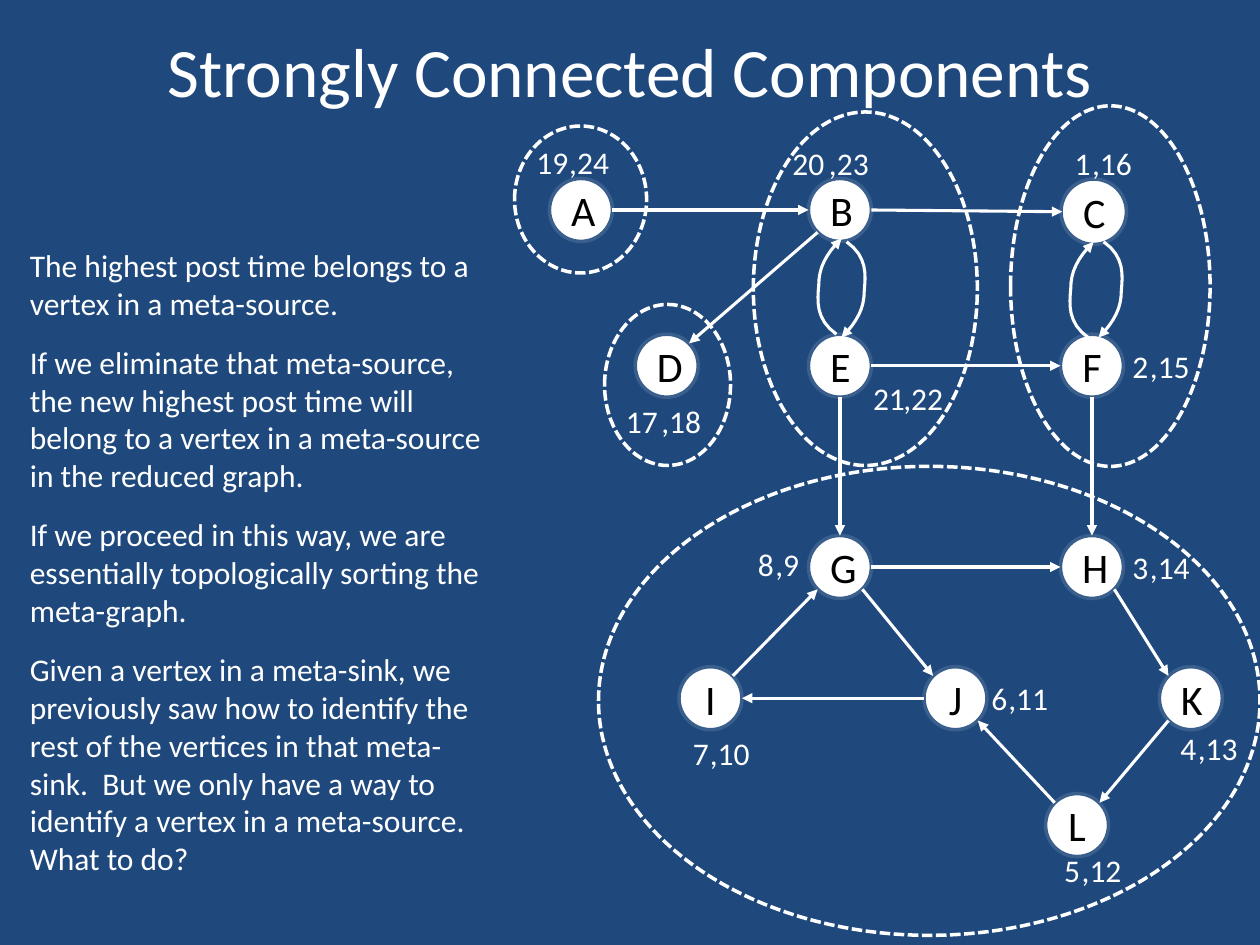
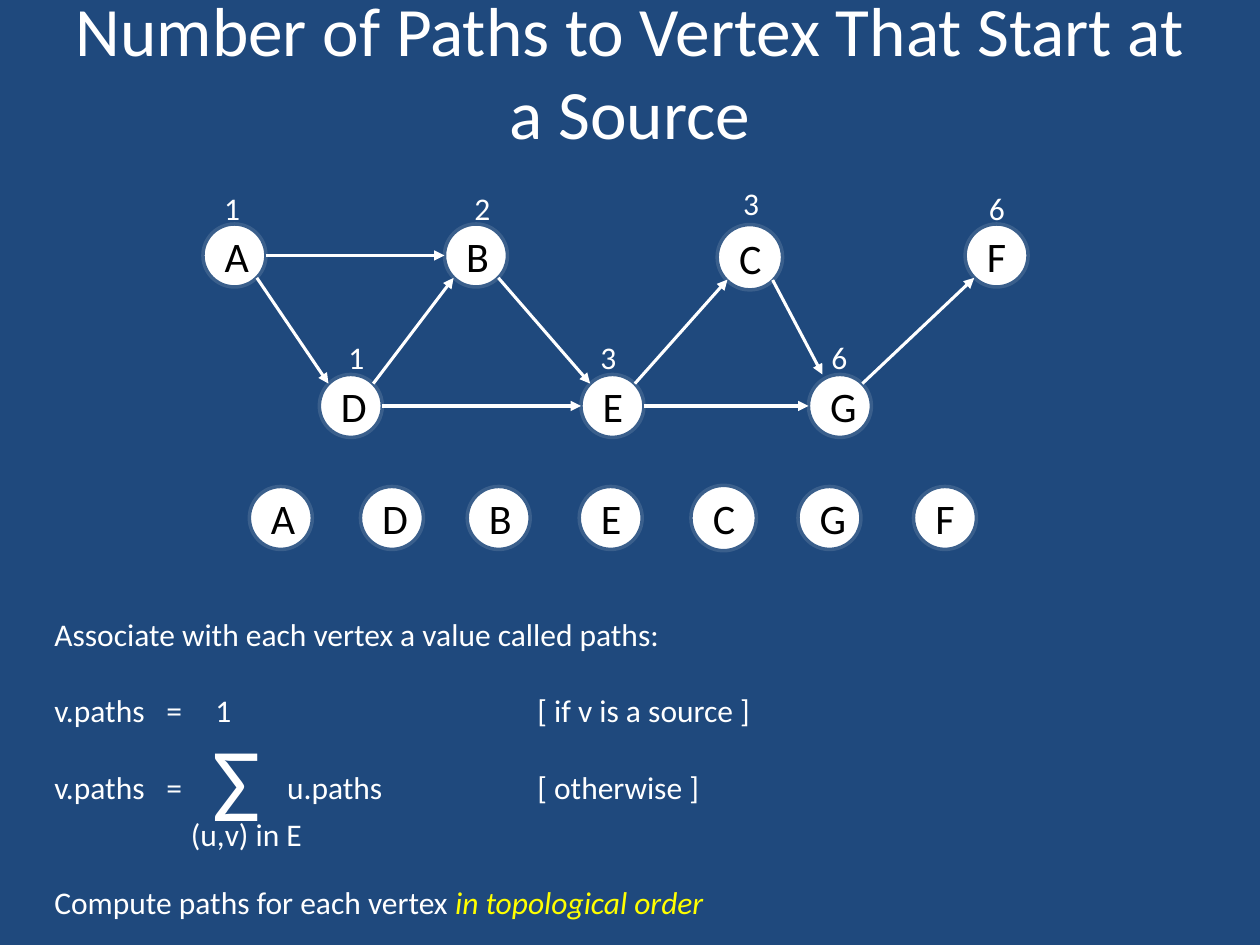
from lxml import etree
from pptx import Presentation
from pptx.dml.color import RGBColor
from pptx.enum import dml, shapes, text
from pptx.oxml.ns import qn
from pptx.util import Pt

NAVY = RGBColor(0x1F, 0x49, 0x7D)
RIM = RGBColor(0x3A, 0x5F, 0x8C)
WHITE = RGBColor(0xFF, 0xFF, 0xFF)
BLACK = RGBColor(0, 0, 0)
YELLOW = RGBColor(0xFF, 0xFF, 0)
FONT = "Calibri"
RADIUS = 18
BEND = [(0, 0), (12.2, 8.6), (10.8, 19.4), (10.1, 28.1),
        (10.1, 37.4), (6.5, 45.4), (-2.9, 54.7)]


def write(para, words, size=18, color=WHITE, italic=None, align=None,
          before=None):
    """Add one formatted run to a paragraph."""
    run = para.add_run()
    run.text = words
    font = run.font
    font.name, font.size, font.italic = FONT, Pt(size), italic
    font.color.rgb = color
    if align is not None:
        para.alignment = align
    if before is not None:
        para.space_before = Pt(before)


def set_tabs(para, stops):
    tabs = etree.SubElement(para._p.get_or_add_pPr(), qn("a:tabLst"))
    for stop in stops:
        etree.SubElement(tabs, qn("a:tab"), pos=str(Pt(stop)), algn="l")


def sign(gap):
    """Direction of a gap, taking a tiny one as level."""
    return 0 if abs(gap) < 3 else (1 if gap > 0 else -1)


def cubic(a, b, c, d, t):
    s = 1 - t
    return s**3 * a + 3 * s * s * t * b + 3 * s * t * t * c + t**3 * d


class Deck:
    def __init__(self):
        self.prs = Presentation()
        self.prs.slide_width, self.prs.slide_height = Pt(720), Pt(540)
        fill = self.prs.slide_master.background.fill
        fill.solid()
        fill.fore_color.rgb = NAVY

    def page(self, words):
        self.slide = self.prs.slides.add_slide(self.prs.slide_layouts[5])
        self.shapes = self.slide.shapes
        title = self.shapes.title
        title.left, title.top = Pt(36), Pt(12)
        title.width, title.height = Pt(648), Pt(56)
        frame = title.text_frame
        frame.auto_size = text.MSO_AUTO_SIZE.NONE
        frame.vertical_anchor = text.MSO_ANCHOR.MIDDLE
        write(frame.paragraphs[0], words, 39.6, align=text.PP_ALIGN.CENTER)

    def box(self, x, y, w, h, wrap=False):
        """Add a text box and return its frame."""
        frame = self.shapes.add_textbox(Pt(x), Pt(y), Pt(w), Pt(h)).text_frame
        frame.word_wrap = wrap
        frame.auto_size = text.MSO_AUTO_SIZE.SHAPE_TO_FIT_TEXT
        return frame

    def label(self, words, x, y):
        commas = words.count(",")
        width = 14.4 + 9.1 * (len(words) - commas) + 4.5 * commas
        write(self.box(x, y, width, 29).paragraphs[0], words)

    def oval(self, x, y, w, h, color, width=2):
        shape = self.shapes.add_shape(shapes.MSO_SHAPE.OVAL,
                                      Pt(x), Pt(y), Pt(w), Pt(h))
        shape.shadow.inherit = False
        shape.line.color.rgb, shape.line.width = color, Pt(width)
        return shape

    def ring(self, x, y, w, h):
        """Dashed outline round one component."""
        shape = self.oval(x, y, w, h, WHITE)
        shape.fill.background()
        shape.line.dash_style = dml.MSO_LINE.SQUARE_DOT

    def node(self, name, x, y):
        r = 18.7 if name == "C" else RADIUS
        shape = self.oval(x - r, y - r, 2 * r, 2 * r, RIM)
        shape.fill.solid()
        shape.fill.fore_color.rgb = WHITE
        write(shape.text_frame.paragraphs[0], name, 24, BLACK,
              align=text.PP_ALIGN.CENTER)

    def tip(self, shape):
        """White stroke with an arrowhead at its end."""
        shape.line.color.rgb, shape.line.width = WHITE, Pt(1.75)
        line = shape.element.spPr.find(qn("a:ln"))
        etree.SubElement(line, qn("a:tailEnd"), type="triangle")

    def arrow(self, x1, y1, x2, y2):
        line = self.shapes.add_connector(shapes.MSO_CONNECTOR.STRAIGHT,
                                         Pt(x1), Pt(y1), Pt(x2), Pt(y2))
        self.tip(line)
        etree.SubElement(line.element.spPr, qn("a:effectLst"))

    def curve(self, x, y, way):
        """Bowed arrow: way 1 runs down on the right, -1 up on the left."""
        pts = []
        for part in (BEND[:4], BEND[3:]):
            xs, ys = zip(*part)
            pts += [(Pt(x + way * cubic(*xs, i / 8)),
                     Pt(y + way * cubic(*ys, i / 8))) for i in range(1, 9)]
        pen = self.shapes.build_freeform(Pt(x), Pt(y))
        pen.add_line_segments(pts, close=False)
        shape = pen.convert_to_shape()
        shape.shadow.inherit = False
        shape.fill.background()
        self.tip(shape)

    def graph(self, nodes, edges):
        for name, (x, y) in nodes.items():
            self.node(name, x, y)
        for start, end in edges.split():
            (x1, y1), (x2, y2) = nodes[start], nodes[end]
            h, v = sign(x2 - x1), sign(y2 - y1)
            r = RADIUS * (0.71 if h and v else 1)
            self.arrow(x1 + h * r, y1 + v * r, x2 - h * r, y2 - v * r)


def parts(deck):
    deck.page("Strongly Connected Components")
    deck.graph({"A": (332, 120), "B": (480, 120), "C": (625, 121),
                "D": (381, 209), "E": (480, 209), "F": (624, 209),
                "G": (480, 324), "H": (624, 324), "I": (406, 399),
                "J": (546, 399), "K": (680.5, 399), "L": (615.5, 471.5)},
               "AB BC BD EF EG FH GH GJ HK IG JI KL LJ")
    # pre time, post time, left, top, step from one to the other
    for pre, post, x, y, step in [
            (19, 24, 299.5, 78, 18.7), (20, 23, 445.7, 78.5, 20.9),
            (1, 16, 607, 78.5, 10), (17, 18, 350.6, 226, 20.2),
            (21, 22, 491.8, 213, 17.3), (2, 15, 640, 194.5, 10),
            (8, 9, 426, 308, 10), (3, 14, 640, 309.5, 10),
            (7, 10, 388.8, 416, 9.7), (6, 11, 559.4, 384.5, 9.7),
            (4, 13, 667.4, 413, 10), (5, 12, 601, 483, 10)]:
        deck.label(str(pre), x, y)
        deck.label(f",{post}", x + step, y)
    for x, y, way in [(483.8, 138.2, 1), (630.7, 138.2, 1),
                      (478, 191, -1), (622, 193, -1)]:
        deck.curve(x, y, way)
    frame = deck.box(10, 137, 272, 383, wrap=True)
    for i, words in enumerate([
            "The highest post time belongs to a vertex in a meta-source.",
            "If we eliminate that meta-source, the new highest post time will "
            "belong to a vertex in a meta-source in the reduced graph.",
            "If we proceed in this way, we are essentially topologically "
            "sorting the meta-graph.",
            "Given a vertex in a meta-sink, we previously saw how to identify "
            "the rest of the vertices in that meta-sink.  But we only have a "
            "way to identify a vertex in a meta-source.  What to do?"]):
        para = frame.add_paragraph() if i else frame.paragraphs[0]
        write(para, words, before=12.2 if i else 0)
    for area in [(294, 72, 75.5, 84), (430.5, 64, 128, 202),
                 (345.5, 174, 72, 92), (577.5, 60.5, 114, 206),
                 (342, 266.5, 378, 268)]:
        deck.ring(*area)


def paths(deck):
    deck.page("Number of Paths to Vertex That Start at a Source")
    frame = deck.box(24, 348, 648, 216, wrap=True)
    write(frame.paragraphs[0],
          "Associate with each vertex a value called paths:")
    for words, stops in [("v.paths\t=\t1\t[ if v is a source ]", (64, 92, 276)),
                         ("v.paths\t=\tu.paths\t[ otherwise ]",
                          (64, 133, 276))]:
        para = frame.add_paragraph()
        write(para, words, before=22)
        set_tabs(para, stops)
    para = frame.add_paragraph()
    write(para, "Compute paths for each vertex ", before=44)
    write(para, "in topological order", color=YELLOW, italic=True)

    high, low = 146, 232
    deck.graph({"A": (134, high), "B": (272, high), "C": (428.5, high + 1),
                "F": (569.5, high), "D": (200.5, low), "E": (350, low),
                "G": (480, low)},
               "AB AD DB BE EC DE EG GF")
    deck.arrow(441.5, 160, 470, 214)
    for name, x in zip("ADBECGF", (160.5, 224, 285, 349, 413.5, 474, 540)):
        deck.node(name, x, 296)
    write(deck.box(114, 406, 42.5, 80).paragraphs[0], "Σ", 60,
          align=text.PP_ALIGN.CENTER)
    write(deck.box(102, 462, 79, 29).paragraphs[0], "(u,v) in E")
    for count, x, y in [(1, 121, 104.5), (2, 264, 104.5), (3, 417.5, 101.5),
                        (6, 558, 104.5), (1, 192, 189.5), (3, 336, 189.5),
                        (6, 468, 189.5)]:
        deck.label(str(count), x, y)


def main():
    deck = Deck()
    parts(deck)
    paths(deck)
    deck.prs.save("out.pptx")


if __name__ == "__main__":
    main()
